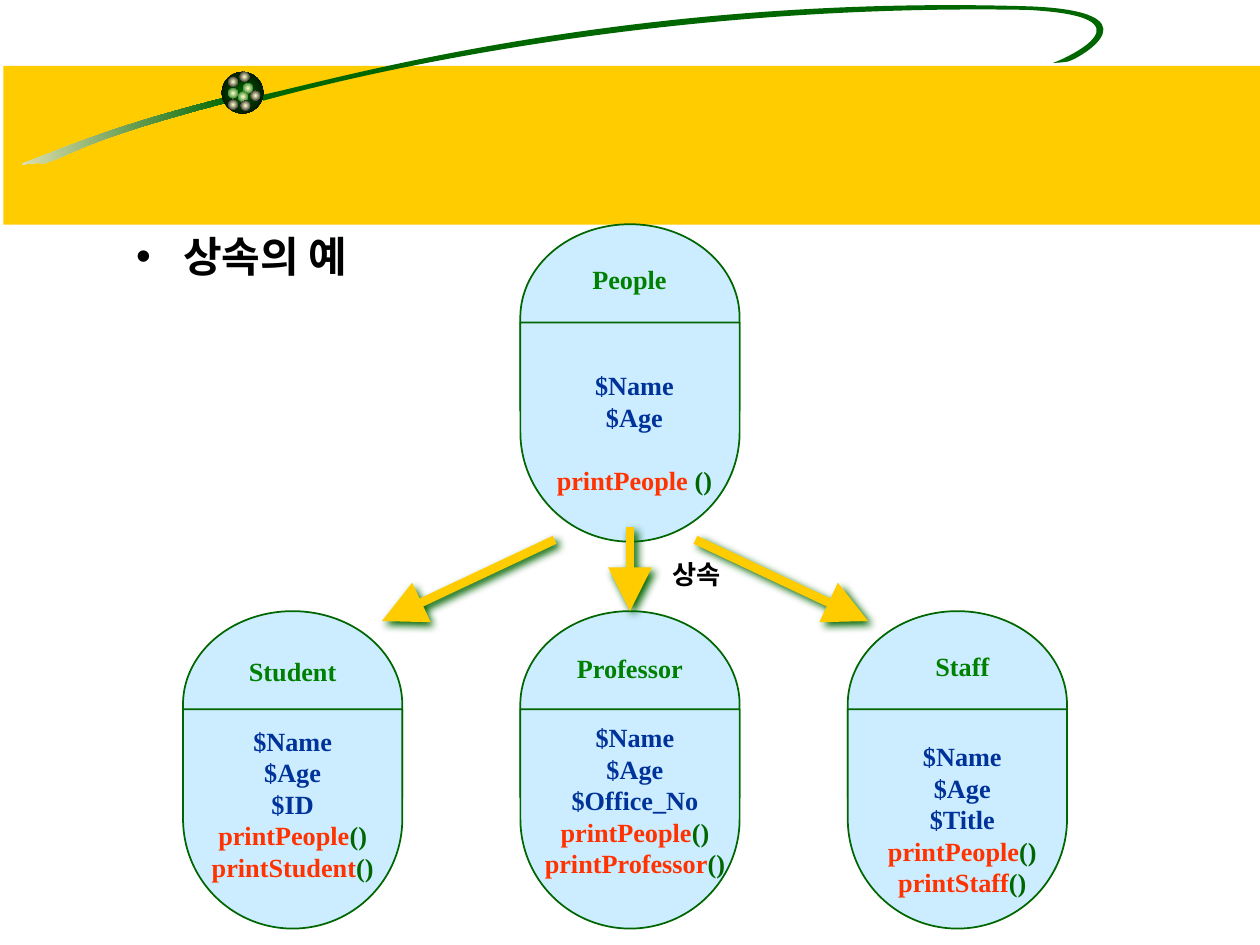
import math

from lxml import etree
from pptx import Presentation
from pptx import util as u
from pptx.dml import color
from pptx.enum import shapes, text
from pptx.oxml import ns

FONT = "Times New Roman"
GREEN, GOLD, CREAM, BLACK = "006600", "FFCC00", "FFFFCC", "000000"
NODE_WIDTH, HEAD_HEIGHT, DIVIDER = 4.42, 3.76, 1.98
UPPER_TOP, LOWER_TOP = 4.52, 12.32
BEAD, INSET = 0.2, 0.13
TILT = -9

# Outline: start point, then cubic curves (two controls and an end), in cm
TAIL = [(4.57, 1.96),
        (2.36, 2.51), (1.32, 2.97), (0.71, 3.2),
        (0.08, 3.43), (0.74, 3.23), (0.86, 3.3),
        (1.5, 3.12), (1.52, 2.87), (4.6, 2.06),
        (4.6, 2.06), (4.57, 1.96), (4.57, 1.96)]
SWEEP = [(5.21, 1.93),
         (6.32, 1.73), (12.42, -0.13), (20.75, 0.13),
         (23.34, 0.23), (21.84, 1.14), (21.54, 1.24),
         (21.54, 1.24), (21.36, 1.27), (21.23, 1.27),
         (21.51, 1.17), (23.34, 0.33), (20.7, 0.2),
         (13.97, 0.08), (8.2, 1.24), (5.31, 2.03),
         (5.31, 2.03), (5.21, 1.93), (5.21, 1.93)]
BEADS = [(4.9, 1.68, GREEN), (4.6, 1.55, BLACK), (4.6, 1.78, GREEN),
         (4.8, 1.85, GREEN), (5.05, 1.83, BLACK), (4.85, 2.03, BLACK),
         (4.6, 2.01, BLACK), (4.83, 1.45, BLACK)]

# Class: left, top, name box, room below the name, members box, fields, methods, gap
# Boxes are relative to the top left corner of the class
CLASSES = {
    "People": (10.49, UPPER_TOP, (0.64, 0.46, 3.12, 3.2), 2.03, (0.32, 2.22, 3.96, 3.96),
               ["$Name", "$Age"], ["printPeople "], 18),
    "Student": (3.69, LOWER_TOP, (0.23, 0.2, 3.96, 2.64), 0.76, (0.23, 1.91, 3.96, 3.96),
                ["$Name", "$Age", "$ID"], ["printPeople", "printStudent"], 0),
    "Professor": (10.49, LOWER_TOP, (0.81, 0.48, 2.8, 1.32), INSET, (-0.33, 1.84, 5.28, 3.96),
                  ["$Name", "$Age", "$Office_No"], ["printPeople", "printProfessor"], 0),
    "Staff": (17.09, LOWER_TOP, (0.33, 0.44, 3.96, 1.32), INSET, (0.33, 2.22, 3.96, 3.96),
              ["$Name", "$Age", "$Title"], ["printPeople", "printStaff"], 0),
}
ARROWS = [((14.1, 10.92), (17.5, 12.52)),
          ((11.1, 10.92), (7.7, 12.52)),
          ((12.7, 10.72), (12.7, 12.32))]


def rgb(value):
    return color.RGBColor.from_string(value)


def cm(*values):
    return [u.Cm(value) for value in values]


def child(parent, tag, **attributes):
    return etree.SubElement(parent, ns.qn(tag), attributes)


def paint(shape, fill, line=None):
    shape.shadow.inherit = False
    shape.fill.solid()
    shape.fill.fore_color.rgb = rgb(fill)
    if line:
        shape.line.color.rgb = rgb(line)
        shape.line.width = u.Pt(1)
    else:
        shape.line.fill.background()


def shade(shape, first, last, radial=False):
    """Gradient from first to last, left to right or outward from the middle."""
    paint(shape, last)
    shape.fill.gradient()
    shape.fill.gradient_angle = 0
    for place, (stop, value) in enumerate(zip(shape.fill.gradient_stops, (first, last))):
        stop.color.rgb = rgb(value)
        stop.position = place
    if radial:
        gradient = shape.element.spPr.find(ns.qn("a:gradFill"))
        gradient.remove(gradient.find(ns.qn("a:lin")))
        circle = child(gradient, "a:path", path="circle")
        child(circle, "a:fillToRect", l="50000", t="50000", r="50000", b="50000")


def add_span(para, words, value, size=15):
    span = para.add_run()
    span.text = words
    span.font.name, span.font.size, span.font.bold = FONT, u.Pt(size), True
    span.font.color.rgb = rgb(value)


def add_lines(parent, box, lines, below=INSET, align=text.PP_ALIGN.CENTER,
              anchor=text.MSO_ANCHOR.MIDDLE):
    """Each line is (space before, [(words, colour), ...])."""
    frame = parent.add_textbox(*cm(*box)).text_frame
    frame.word_wrap, frame.vertical_anchor = True, anchor
    frame.margin_bottom = u.Cm(below)
    for index, (space, spans) in enumerate(lines):
        para = frame.add_paragraph() if index else frame.paragraphs[0]
        para.alignment, para.space_before = align, u.Pt(space)
        for words, value in spans:
            add_span(para, words, value)


def turn(point, degrees):
    x, y = point
    angle = math.radians(degrees)
    return (round(x * math.cos(angle) - y * math.sin(angle)),
            round(x * math.sin(angle) + y * math.cos(angle)))


def add_curve(parent, outline):
    """Level the outline, draw it with cubic curves and tilt the shape back."""
    start, *points = [turn(cm(*point), -TILT) for point in outline]
    builder = parent.build_freeform(*start)
    builder.add_line_segments(points, close=True)
    shape = builder.convert_to_shape()
    lines = list(shape.element.iter(ns.qn("a:lnTo")))
    for first in range(0, len(points), 3):
        curve = etree.Element(ns.qn("a:cubicBezTo"))
        lines[first].addprevious(curve)
        for line in lines[first:first + 3]:
            curve.append(line[0])
            line.getparent().remove(line)
    half_width, half_height = shape.width // 2, shape.height // 2
    x, y = turn((shape.left + half_width, shape.top + half_height), TILT)
    shape.left, shape.top = x - half_width, y - half_height
    shape.rotation = TILT
    return shape


def add_banner(page, box):
    parent = page.shapes.add_group_shape().shapes
    band = parent.add_shape(shapes.MSO_SHAPE.RECTANGLE, *cm(*box))
    paint(band, GOLD)
    shade(add_curve(parent, TAIL), "F5EBC1", GREEN)
    paint(add_curve(parent, SWEEP), GREEN)
    ball = parent.add_shape(shapes.MSO_SHAPE.OVAL, *cm(4.47, 1.45, 0.84, 0.84))
    shade(ball, GREEN, BLACK, radial=True)
    for left, top, edge in BEADS:
        bead = parent.add_shape(shapes.MSO_SHAPE.OVAL, *cm(left, top, BEAD, BEAD))
        shade(bead, CREAM, edge, radial=True)


def add_topic(page, box, words):
    page.shapes.title.element.getparent().remove(page.shapes.title.element)
    body = page.placeholders[1]
    body.left, body.top, body.width, body.height = cm(*box)
    body.text_frame.auto_size = text.MSO_AUTO_SIZE.NONE
    para = body.text_frame.paragraphs[0]
    para.space_before = u.Pt(0)
    add_span(para, words, BLACK, 24)
    properties = para._p.get_or_add_pPr()
    properties.set("marL", str(u.Cm(0.95)))
    properties.set("indent", str(-u.Cm(0.95)))
    child(child(properties, "a:buClr"), "a:srgbClr", val=BLACK)
    child(properties, "a:buChar", char="•")


def add_class(page, name, left, top, name_box, below, members_box, fields, methods, gap):
    parent = page.shapes.add_group_shape().shapes
    middle = left + NODE_WIDTH / 2

    def add_half(offset, height, rotation):
        """The box is given before the rotation, so its sides are swapped."""
        half = parent.add_shape(
            shapes.MSO_SHAPE.FLOWCHART_DELAY,
            *cm(middle - height / 2, top + offset + (height - NODE_WIDTH) / 2,
                height, NODE_WIDTH))
        half.rotation = rotation
        paint(half, "CCECFF", GREEN)

    def add_label(box, lines, room=INSET):
        across, down, *size = box
        add_lines(parent, (left + across, top + down, *size), lines, room)

    add_half(0, HEAD_HEIGHT, 270)
    add_label(name_box, [(0, [(name, "008000")])], below)
    add_half(DIVIDER, NODE_WIDTH, 90)
    members = [(0, [(field, "003399")]) for field in fields]
    members += [(gap, [(method, "FF3300"), ("()", GREEN)]) for method in methods]
    add_label(members_box, members)


def add_arrow(page, start, end):
    arrow = page.shapes.add_connector(shapes.MSO_CONNECTOR.STRAIGHT, *cm(*start, *end))
    arrow.line.color.rgb = rgb(GOLD)
    arrow.line.width = u.Pt(5)
    line = arrow.line._get_or_add_ln()
    line.set("cap", "sq")
    child(line, "a:tailEnd", type="triangle", w="lg", len="lg")
    effects = child(arrow._element.spPr, "a:effectLst")
    shadow = child(effects, "a:outerShdw", blurRad=str(u.Pt(5)), dist=str(u.Pt(2.8)),
                   dir="2700000", algn="ctr", rotWithShape="0")
    child(shadow, "a:srgbClr", val=GREEN)


def main():
    deck = Presentation()
    deck.slide_width, deck.slide_height = cm(25.4, 19.05)
    page = deck.slides.add_slide(deck.slide_layouts[1])
    add_banner(page, (0.07, 1.33, 25.4, 3.2))
    add_topic(page, (2.49, 4.52, 21.59, 13.54), "상속의 예")
    for name, details in CLASSES.items():
        add_class(page, name, *details)
    for start, end in ARROWS:
        add_arrow(page, start, end)
    add_lines(page.shapes, (13.31, 11.13, 1.55, 0.89), [(0, [("상속", BLACK)])],
              align=text.PP_ALIGN.LEFT, anchor=text.MSO_ANCHOR.TOP)
    deck.save("out.pptx")


if __name__ == "__main__":
    main()
